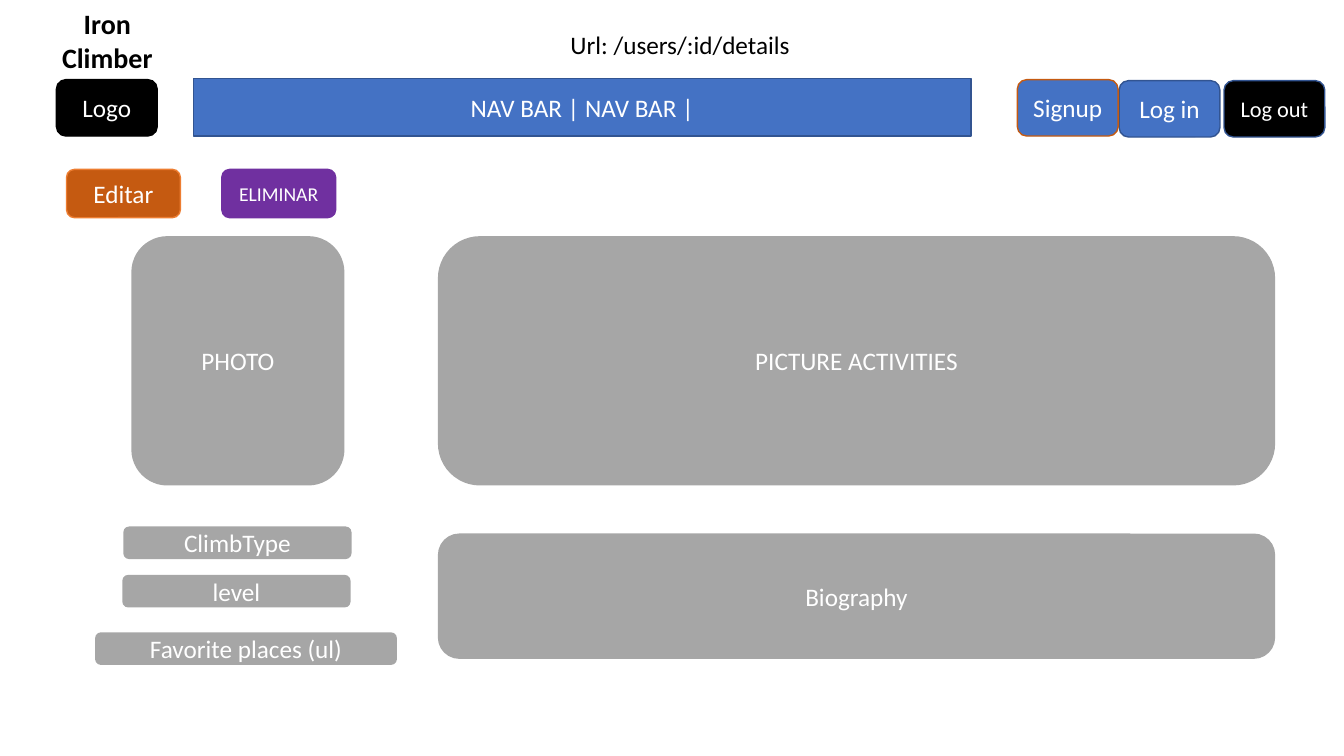
import pptx
import pptx.dml.color
import pptx.enum.shapes
import pptx.enum.text
import pptx.util

Inches = pptx.util.Inches
Align = pptx.enum.text.PP_ALIGN
ShapeType = pptx.enum.shapes.MSO_SHAPE

BLUE, NAVY, ORANGE = "4472C4", "325491", "C55A11"
BLACK, WHITE, GRAY, PURPLE = "000000", "FFFFFF", "A6A6A6", "7030A0"


def color(value):
    return pptx.dml.color.RGBColor.from_string(value)


def write(paragraph, text, size=18, fill=WHITE, bold=False, align=Align.CENTER):
    paragraph.alignment = align
    run = paragraph.add_run()
    run.text = text
    run.font.name = "Calibri"
    run.font.size = pptx.util.Pt(size)
    run.font.bold = bold
    run.font.color.rgb = color(fill)


class Wireframe:
    def __init__(self, presentation):
        self.slide = presentation.slides.add_slide(presentation.slide_layouts[6])

    def box(self, text, bounds, fill=GRAY, line=None, size=18,
            kind=ShapeType.ROUNDED_RECTANGLE):
        shape = self.slide.shapes.add_shape(kind, *map(Inches, bounds))
        shape.shadow.inherit = False
        shape.fill.solid()
        shape.fill.fore_color.rgb = color(fill)
        shape.line.color.rgb = color(line or fill)
        shape.line.width = pptx.util.Pt(1)
        frame = shape.text_frame
        frame.word_wrap = True
        frame.vertical_anchor = pptx.enum.text.MSO_ANCHOR.MIDDLE
        write(frame.paragraphs[0], text, size=size)

    def label(self, lines, bounds, **text_format):
        shape = self.slide.shapes.add_textbox(*map(Inches, bounds))
        frame = shape.text_frame
        frame.word_wrap = False
        frame.auto_size = pptx.enum.text.MSO_AUTO_SIZE.SHAPE_TO_FIT_TEXT
        for index, line in enumerate(lines):
            paragraph = frame.add_paragraph() if index else frame.paragraphs[0]
            write(paragraph, line, fill=BLACK, **text_format)


def main():
    presentation = pptx.Presentation()
    presentation.slide_width = Inches(13.33)
    presentation.slide_height = Inches(7.5)
    wireframe = Wireframe(presentation)

    wireframe.label(["Iron", "Climber"], (0.51, 0.02, 1.11, 0.77), size=20, bold=True)
    wireframe.label(["Url: /users/:id/details"], (5.56, 0.24, 2.4, 0.4), align=Align.LEFT)
    wireframe.box("NAV BAR | NAV BAR |", (1.92, 0.78, 7.71, 0.57), BLUE, NAVY,
                  kind=ShapeType.RECTANGLE)

    for text, left, top, fill, line, size in (
        ("Log in", 11.1, 0.8, BLUE, NAVY, 18),
        ("Logo", 0.56, 0.79, BLACK, BLACK, 18),
        ("Signup", 10.09, 0.79, BLUE, ORANGE, 18),
        ("Log out", 12.14, 0.8, BLACK, NAVY, 16),
    ):
        wireframe.box(text, (left, top, 1, 0.56), fill, line, size)

    wireframe.box("Editar", (0.66, 1.68, 1.13, 0.48), ORANGE, "ED7D31")
    wireframe.box("ELIMINAR", (2.2, 1.68, 1.13, 0.48), PURPLE, size=14)

    for text, *bounds in (
        ("PHOTO", 1.31, 2.35, 2.1, 2.46),
        ("PICTURE ACTIVITIES", 4.35, 2.35, 8.29, 2.46),
        ("ClimbType", 1.23, 5.23, 2.25, 0.31),
        ("level", 1.22, 5.71, 2.25, 0.31),
        ("Favorite places (ul)", 0.95, 6.28, 2.98, 0.31),
        ("Biography", 4.35, 5.3, 8.29, 1.23),
    ):
        wireframe.box(text, bounds)

    presentation.save("out.pptx")


if __name__ == "__main__":
    main()
